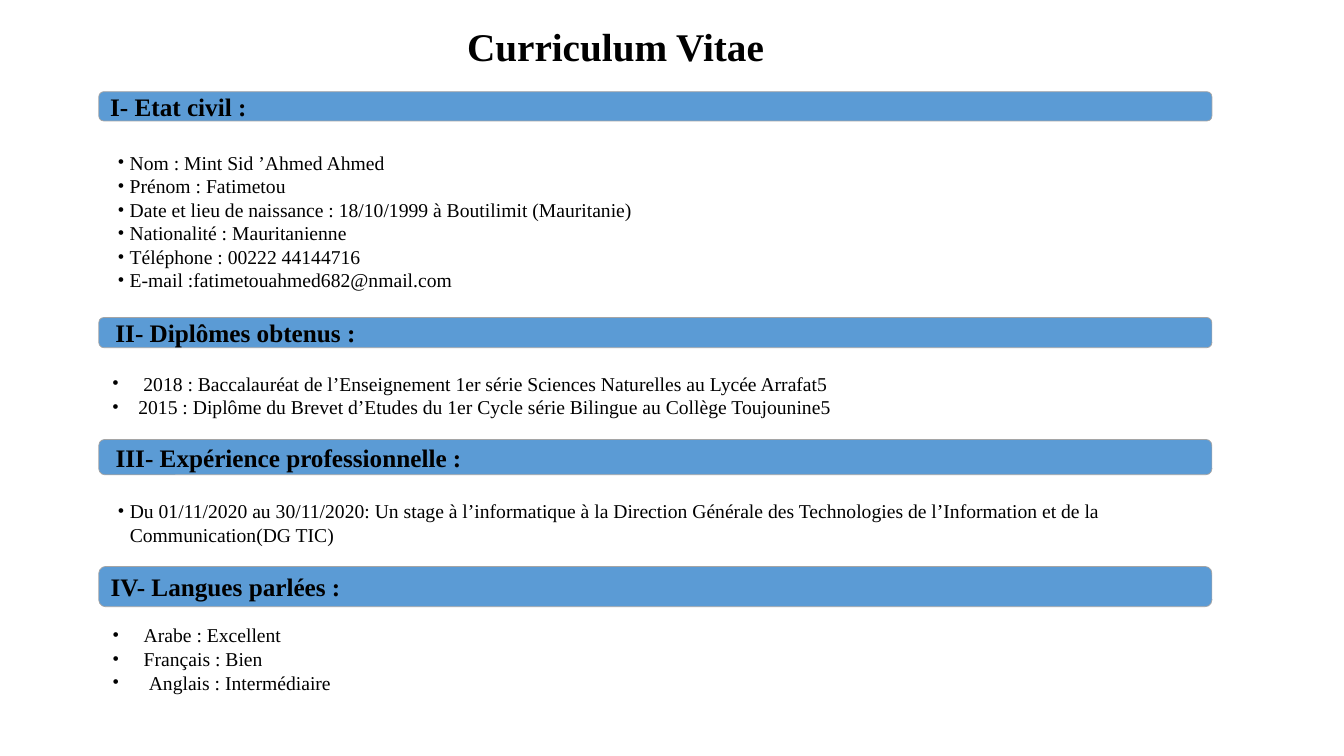
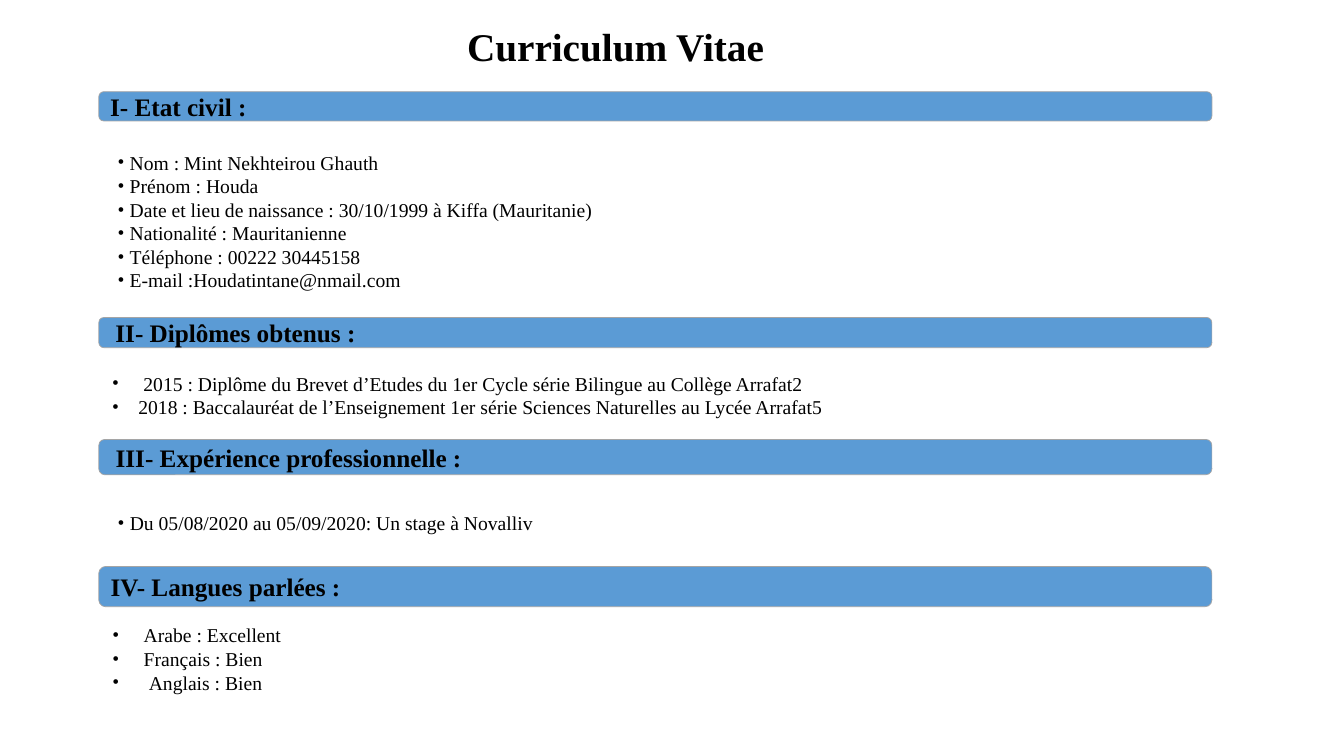
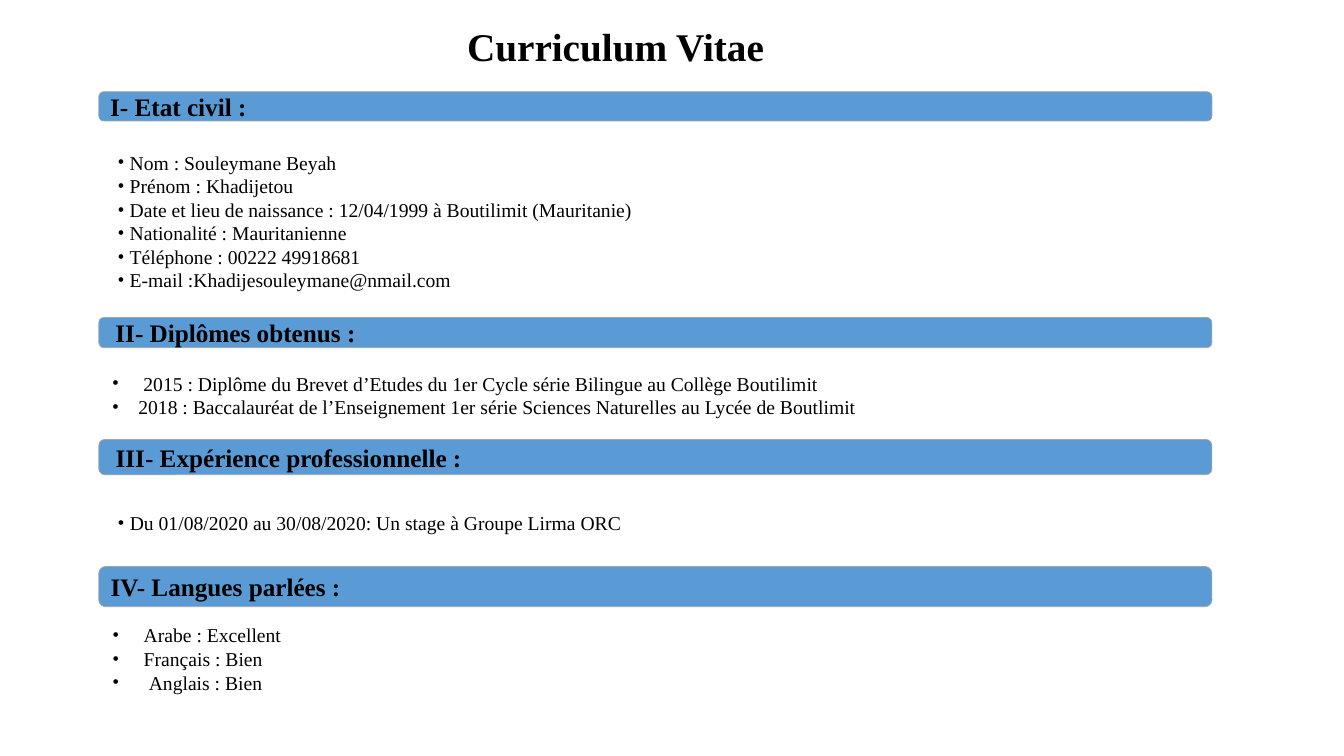
from dataclasses import dataclass

from lxml.etree import SubElement
from pptx import Presentation
from pptx.dml.color import RGBColor
from pptx.enum.shapes import MSO_SHAPE as Shape
from pptx.enum.text import MSO_ANCHOR as Anchor, PP_ALIGN as Align
from pptx.oxml.ns import qn
from pptx.util import Inches, Pt

BLACK = RGBColor(0x00, 0x00, 0x00)
WHITE = RGBColor(0xFF, 0xFF, 0xFF)
BLUE = RGBColor(0x5B, 0x9B, 0xD5)
GREY = RGBColor(0xA5, 0xA5, 0xA5)
FONT = "Times New Roman"

SLIDE_WIDTH = Inches(13.33)
SLIDE_HEIGHT = Inches(7.5)
COLUMN_LEFT = 7.35
COLUMN_WIDTH = 82.82
MARGIN = 0.1
SHIFT = 0.05
NARROW = 0.12
MEDIUM = 0.26
WIDE = 0.31


@dataclass
class Section:
    heading: str
    band: tuple
    body: tuple
    hangs: tuple
    align: Align = Align.JUSTIFY
    heading_shift: float = 0
    body_shift: float = 0


@dataclass
class Resume:
    identity: tuple
    diplomas: tuple
    experience: tuple
    languages: tuple

    def contents(self):
        return self.identity, self.diplomas, self.experience, self.languages


SECTIONS = (
    Section("I- Etat civil :", (12.13, 3.87), (17.2, 24.13), (NARROW,) * 6),
    Section("II- Diplômes obtenus :", (42, 4), (47.6, 9.33), (WIDE, MEDIUM),
            heading_shift=SHIFT),
    Section("III- Expérience professionnelle :", (58.13, 4.67), (64, 10.27), (NARROW,),
            Align.LEFT, SHIFT, SHIFT),
    Section("IV- Langues parlées :", (74.93, 5.33), (82, 10.27),
            (WIDE, WIDE, WIDE + SHIFT), Align.LEFT),
)


def identity(name, first_name, birth, phone, email):
    return (
        f"Nom : {name}",
        f"Prénom : {first_name}",
        f"Date et lieu de naissance : {birth} (Mauritanie)",
        "Nationalité : Mauritanienne",
        f"Téléphone : 00222 {phone}",
        f"E-mail :{email}",
    )


def brevet(school):
    return f"2015 : Diplôme du Brevet d’Etudes du 1er Cycle série Bilingue au Collège {school}"


def baccalaureate(school):
    return f"2018 : Baccalauréat de l’Enseignement 1er série Sciences Naturelles au Lycée {school}"


def languages(english):
    return "Arabe : Excellent", "Français : Bien", f"Anglais : {english}"


RESUMES = (
    Resume(
        identity("Mint Sid ’Ahmed Ahmed", "Fatimetou", "18/10/1999 à Boutilimit",
                 "44144716", "fatimetouahmed682@nmail.com"),
        (baccalaureate("Arrafat5"), brevet("Toujounine5")),
        ("Du 01/11/2020 au 30/11/2020: Un stage à l’informatique à la Direction Générale "
         "des Technologies de l’Information et de la Communication(DG TIC)",),
        languages("Intermédiaire"),
    ),
    Resume(
        identity("Mint Nekhteirou Ghauth", "Houda", "30/10/1999 à Kiffa",
                 "30445158", "Houdatintane@nmail.com"),
        (brevet("Arrafat2"), baccalaureate("Arrafat5")),
        ("Du 05/08/2020 au 05/09/2020: Un stage à Novalliv",),
        languages("Bien"),
    ),
    Resume(
        identity("Souleymane Beyah", "Khadijetou", "12/04/1999 à Boutilimit",
                 "49918681", "Khadijesouleymane@nmail.com"),
        (brevet("Boutilimit"), baccalaureate("de Boutlimit")),
        ("Du 01/08/2020 au 30/08/2020: Un stage à Groupe Lirma ORC",),
        languages("Bien"),
    ),
)


def place(left, top, width, height):
    return (int(SLIDE_WIDTH * left / 100), int(SLIDE_HEIGHT * top / 100),
            int(SLIDE_WIDTH * width / 100), int(SLIDE_HEIGHT * height / 100))


def add_text(para, text, size, align, bold=False):
    para.alignment = align
    span = para.add_run()
    span.text = text
    span.font.name = FONT
    span.font.size = Pt(size)
    span.font.bold = bold
    span.font.color.rgb = BLACK


def add_bullet(para, hang):
    properties = para._p.get_or_add_pPr()
    properties.set("marL", str(Inches(hang)))
    properties.set("indent", str(-Inches(hang)))
    SubElement(properties, qn("a:buFont")).set("typeface", FONT)
    SubElement(properties, qn("a:buChar")).set("char", "•")


def add_title(page):
    box = page.shapes.add_textbox(*place(9.08, 2.27, 73.44, 7.6))
    frame = box.text_frame
    frame.word_wrap = True
    frame.vertical_anchor = Anchor.BOTTOM
    para = frame.paragraphs[0]
    para.line_spacing = 0.9
    add_text(para, "Curriculum Vitae", 28, Align.CENTER, True)


def add_box(page, row, fill, line, line_width, shift):
    box = page.shapes.add_shape(Shape.ROUNDED_RECTANGLE,
                                *place(COLUMN_LEFT, row[0], COLUMN_WIDTH, row[1]))
    box.shadow.inherit = False
    box.fill.solid()
    box.fill.fore_color.rgb = fill
    box.line.color.rgb = line
    box.line.width = Pt(line_width)
    frame = box.text_frame
    frame.word_wrap = True
    frame.vertical_anchor = Anchor.MIDDLE
    frame.margin_left = Inches(MARGIN + shift)
    return frame


def add_section(page, section, lines):
    band = add_box(page, section.band, BLUE, GREY, 0.5, section.heading_shift)
    add_text(band.paragraphs[0], section.heading, 18, Align.JUSTIFY, True)
    body = add_box(page, section.body, WHITE, WHITE, 1, section.body_shift)
    for index, (line, hang) in enumerate(zip(lines, section.hangs)):
        para = body.add_paragraph() if index else body.paragraphs[0]
        add_text(para, line, 14, section.align)
        add_bullet(para, hang)


def main():
    deck = Presentation()
    deck.slide_width = SLIDE_WIDTH
    deck.slide_height = SLIDE_HEIGHT
    for resume in RESUMES:
        page = deck.slides.add_slide(deck.slide_layouts[6])
        add_title(page)
        for section, lines in zip(SECTIONS, resume.contents()):
            add_section(page, section, lines)
    deck.save("out.pptx")


if __name__ == "__main__":
    main()
